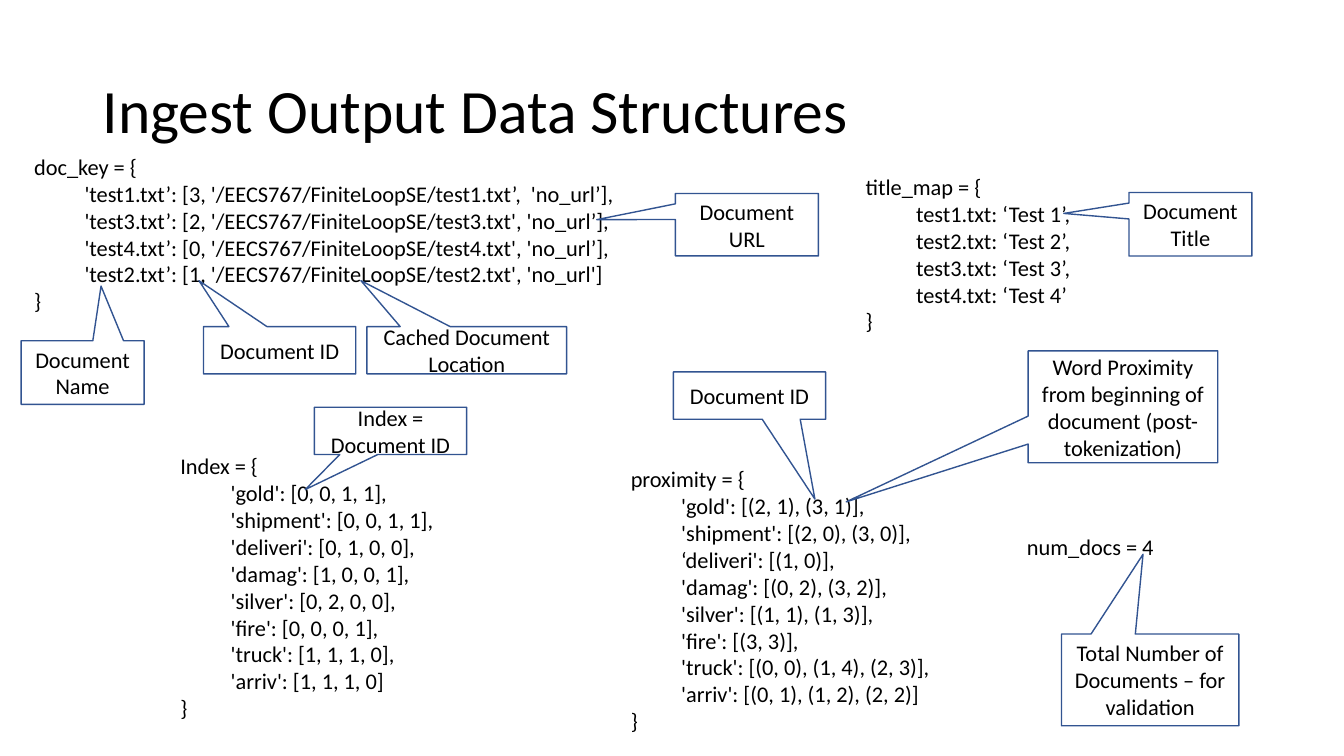
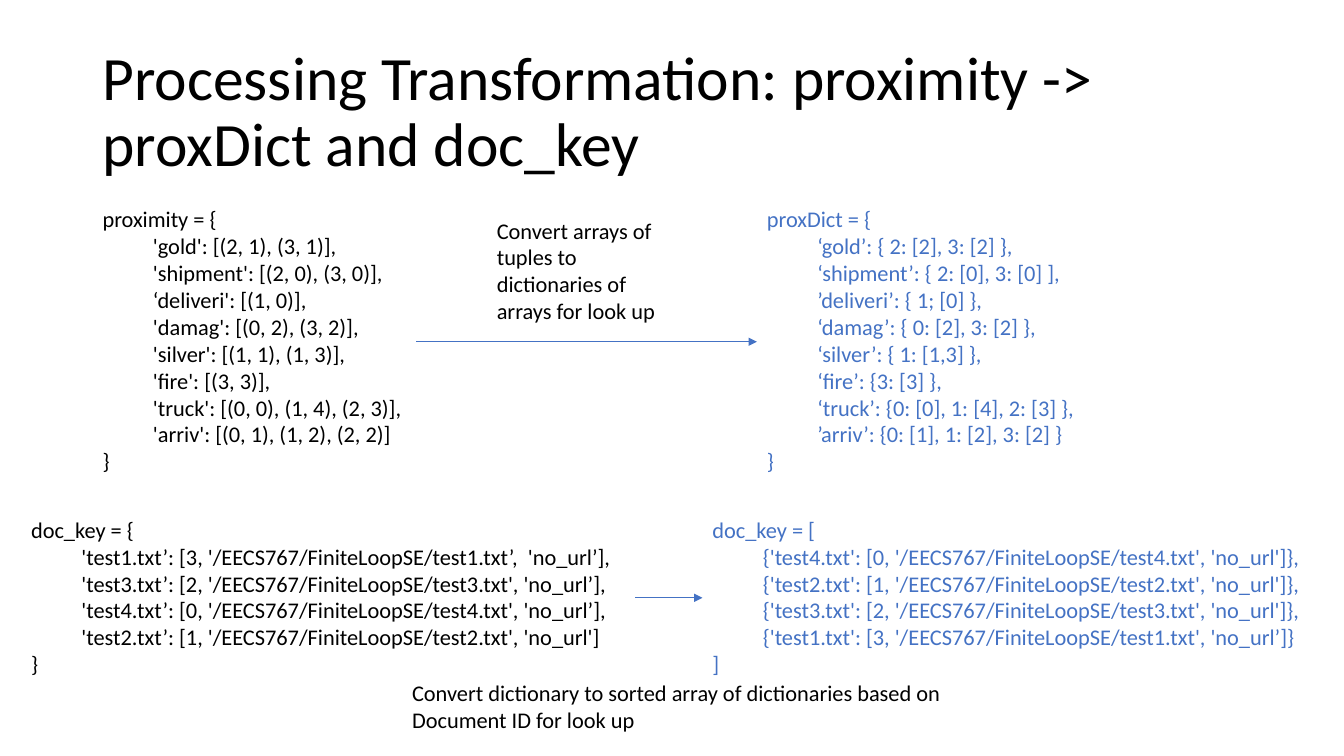
from dataclasses import dataclass

from lxml import etree
from pptx import Presentation
from pptx.dml.color import RGBColor
from pptx.enum.shapes import MSO_CONNECTOR, MSO_SHAPE
from pptx.enum.text import MSO_ANCHOR, MSO_AUTO_SIZE, PP_ALIGN
from pptx.oxml.ns import qn
from pptx.util import Pt

COLORS = {"text": "000000", "accent": "4472C4", "outline": "325491", "paper": "FFFFFF"}
FONT = "Calibri"
TITLE_SIZE = 44
BODY_SIZE = 16
INDENT = 36
BLANK_LAYOUT = 6

STRAIGHT = MSO_CONNECTOR.STRAIGHT
CALLOUT = MSO_SHAPE.RECTANGULAR_CALLOUT
MIDDLE = MSO_ANCHOR.MIDDLE
TOP = MSO_ANCHOR.TOP
CENTER = PP_ALIGN.CENTER
FIT_TEXT = MSO_AUTO_SIZE.SHAPE_TO_FIT_TEXT


@dataclass(frozen=True)
class Frame:
    left: float
    top: float
    width: float
    height: float

    def points(self):
        return Pt(self.left), Pt(self.top), Pt(self.width), Pt(self.height)


@dataclass(frozen=True)
class Structure:
    """A data structure: first line, indented entries, closing bracket."""
    opening: str
    entries: tuple[str, ...]
    closing: str = "}"


@dataclass(frozen=True)
class Callout:
    text: str
    frame: Frame
    tip: tuple[float, float]


@dataclass(frozen=True)
class Arrow:
    start: float
    end: float
    level: float


TITLE_FRAME = Frame(66.2, 28.8, 828, 104.4)

DOC_KEY = Structure("doc_key = {", (
    "'test1.txt’: [3, '/EECS767/FiniteLoopSE/test1.txt’,  'no_url’],",
    "'test3.txt’: [2, '/EECS767/FiniteLoopSE/test3.txt', 'no_url’],",
    "'test4.txt’: [0, '/EECS767/FiniteLoopSE/test4.txt', 'no_url’],",
    "'test2.txt’: [1, '/EECS767/FiniteLoopSE/test2.txt', 'no_url']",
))
INDEX = Structure("Index = {", (
    "'gold': [0, 0, 1, 1],",
    "'shipment': [0, 0, 1, 1],",
    "'deliveri': [0, 1, 0, 0],",
    "'damag': [1, 0, 0, 1],",
    "'silver': [0, 2, 0, 0],",
    "'fire': [0, 0, 0, 1],",
    "'truck': [1, 1, 1, 0],",
    "'arriv': [1, 1, 1, 0]",
))
PROXIMITY = Structure("proximity = {", (
    "'gold': [(2, 1), (3, 1)],",
    "'shipment': [(2, 0), (3, 0)],",
    "‘deliveri': [(1, 0)],",
    "'damag': [(0, 2), (3, 2)],",
    "'silver': [(1, 1), (1, 3)],",
    "'fire': [(3, 3)],",
    "'truck': [(0, 0), (1, 4), (2, 3)],",
    "'arriv': [(0, 1), (1, 2), (2, 2)]",
))
TITLE_MAP = Structure("title_map = {", (
    "test1.txt: ‘Test 1’,",
    "test2.txt: ‘Test 2’,",
    "test3.txt: ‘Test 3’,",
    "test4.txt: ‘Test 4’",
))
PROX_DICT = Structure("proxDict = {", (
    "‘gold’: { 2: [2], 3: [2] },",
    "‘shipment’: { 2: [0], 3: [0] ],",
    "’deliveri’: { 1; [0] },",
    "‘damag’: { 0: [2], 3: [2] }, ‘silver’: { 1: [1,3] },",
    "‘fire’: {3: [3] },",
    "‘truck’: {0: [0], 1: [4], 2: [3] },",
    "’arriv’: {0: [1], 1: [2], 3: [2] }",
))
SORTED_DOC_KEY = Structure("doc_key = [", (
    "{'test4.txt': [0, '/EECS767/FiniteLoopSE/test4.txt', 'no_url']},",
    "{'test2.txt': [1, '/EECS767/FiniteLoopSE/test2.txt', 'no_url']},",
    "{'test3.txt': [2, '/EECS767/FiniteLoopSE/test3.txt', 'no_url']},",
    "{'test1.txt': [3, '/EECS767/FiniteLoopSE/test1.txt', 'no_url’]}",
), "]")

CALLOUTS = (
    Callout("Document ID", Frame(145.4, 233.3, 108.7, 33.8), (-0.53, -1.47)),
    Callout("Document URL", Frame(482.4, 138.2, 102.2, 44.6), (-1.05, -0.08)),
    Callout("Word Proximity from beginning of document (post-tokenization)",
            Frame(734.4, 250.6, 135.4, 79.9), (-1.46, 0.85)),
    Callout("Document Name", Frame(15.1, 243.4, 87.8, 45.4), (0.15, -1.36)),
    Callout("Total Number of Documents – for validation",
            Frame(758.2, 452.9, 126.7, 65.5), (-0.04, -1.37)),
    Callout("Document Title", Frame(806.4, 137.5, 87.8, 45.4), (-1.03, -0.17)),
    Callout("Cached Document Location", Frame(262.1, 233.3, 142.6, 33.8), (-0.53, -1.47)),
    Callout("Index = Document ID", Frame(224.6, 290.9, 108.7, 33.8), (-0.56, 1.24)),
    Callout("Document ID", Frame(481, 265.7, 108.7, 33.8), (0.43, 2.19)),
)
ARROWS = (Arrow(297.4, 540.7, 244.1), Arrow(453.6, 501.8, 427))


def rgb(name: str) -> RGBColor:
    return RGBColor.from_string(COLORS[name])


def format_text(text_frame, size: float = BODY_SIZE, color: str = "text") -> None:
    text_frame.word_wrap = True
    for paragraph in text_frame.paragraphs:
        for span in paragraph.runs:
            span.font.name = FONT
            span.font.size = Pt(size)
            span.font.color.rgb = rgb(color)


def add_title(page, text: str) -> None:
    text_frame = page.shapes.add_textbox(*TITLE_FRAME.points()).text_frame
    text_frame.text = text
    text_frame.vertical_anchor = MIDDLE
    text_frame.paragraphs[0].line_spacing = 0.9
    format_text(text_frame, TITLE_SIZE)


def add_text(page, text: str, frame: Frame, color: str = "text"):
    box = page.shapes.add_textbox(*frame.points())
    box.text_frame.text = text
    box.text_frame.vertical_anchor = TOP
    box.text_frame.auto_size = FIT_TEXT
    format_text(box.text_frame, color=color)
    return box


def add_structure(page, structure: Structure, frame: Frame, color: str = "text"):
    lines = (structure.opening, *structure.entries, structure.closing)
    box = add_text(page, "\n".join(lines), frame, color)
    for paragraph in box.text_frame.paragraphs[1:-1]:
        paragraph.level = 1
        properties = paragraph._p.get_or_add_pPr()
        properties.set("marL", str(Pt(INDENT)))
        properties.set("indent", "0")
    return box


def add_callout(page, callout: Callout) -> None:
    shape = page.shapes.add_shape(CALLOUT, *callout.frame.points())
    shape.adjustments[0], shape.adjustments[1] = callout.tip
    shape.shadow.inherit = False
    shape.fill.background()
    shape.line.color.rgb = rgb("outline")
    shape.line.width = Pt(1)
    shape.text_frame.text = callout.text
    shape.text_frame.vertical_anchor = MIDDLE
    shape.text_frame.paragraphs[0].alignment = CENTER
    format_text(shape.text_frame)


def add_arrow(page, arrow: Arrow) -> None:
    connector = page.shapes.add_connector(
        STRAIGHT, Pt(arrow.start), Pt(arrow.level), Pt(arrow.end), Pt(arrow.level))
    connector.line.color.rgb = rgb("accent")
    connector.line.width = Pt(0.5)
    etree.SubElement(connector.line._get_or_add_ln(), qn("a:tailEnd"), type="triangle")
    etree.SubElement(connector._element.spPr, qn("a:effectLst"))


def add_page(deck, title: str):
    page = deck.slides.add_slide(deck.slide_layouts[BLANK_LAYOUT])
    page.background.fill.solid()
    page.background.fill.fore_color.rgb = rgb("paper")
    add_title(page, title)
    return page


def build_ingest_page(deck) -> None:
    page = add_page(deck, "Ingest Output Data Structures")
    add_structure(page, DOC_KEY, Frame(17.3, 105.8, 464.4, 123.8))
    add_structure(page, INDEX, Frame(121.7, 319.7, 231.8, 200.9))
    add_structure(page, PROXIMITY, Frame(443.5, 329, 262.1, 200.9))
    add_structure(page, TITLE_MAP, Frame(611.3, 120.2, 180, 145.4))
    add_text(page, "num_docs = 4", Frame(726.5, 377.3, 110.9, 26.6))
    for callout in CALLOUTS:
        add_callout(page, callout)


def build_transformation_page(deck) -> None:
    page = add_page(deck, "Processing Transformation: proximity -> proxDict and doc_key")
    result = add_structure(page, PROX_DICT, Frame(540.7, 143.3, 250.6, 200.9), "accent")
    result.fill.solid()
    result.fill.fore_color.rgb = rgb("paper")
    add_structure(page, PROXIMITY, Frame(66.2, 143.3, 231.1, 200.9))
    add_text(page, "Convert arrays of tuples to dictionaries of arrays for look up",
             Frame(347.8, 151.2, 141.8, 85))
    add_structure(page, SORTED_DOC_KEY, Frame(501.8, 365, 445.7, 123.8), "accent")
    add_structure(page, DOC_KEY, Frame(15.1, 365, 438.5, 123.8))
    add_text(page, "Convert dictionary to sorted array of dictionaries based on "
                   "Document ID for look up", Frame(287.3, 481.7, 429.8, 46.1))
    for arrow in ARROWS:
        add_arrow(page, arrow)


def main() -> None:
    deck = Presentation()
    deck.slide_width, deck.slide_height = Pt(960), Pt(540)
    build_ingest_page(deck)
    build_transformation_page(deck)
    deck.save("out.pptx")


if __name__ == "__main__":
    main()
